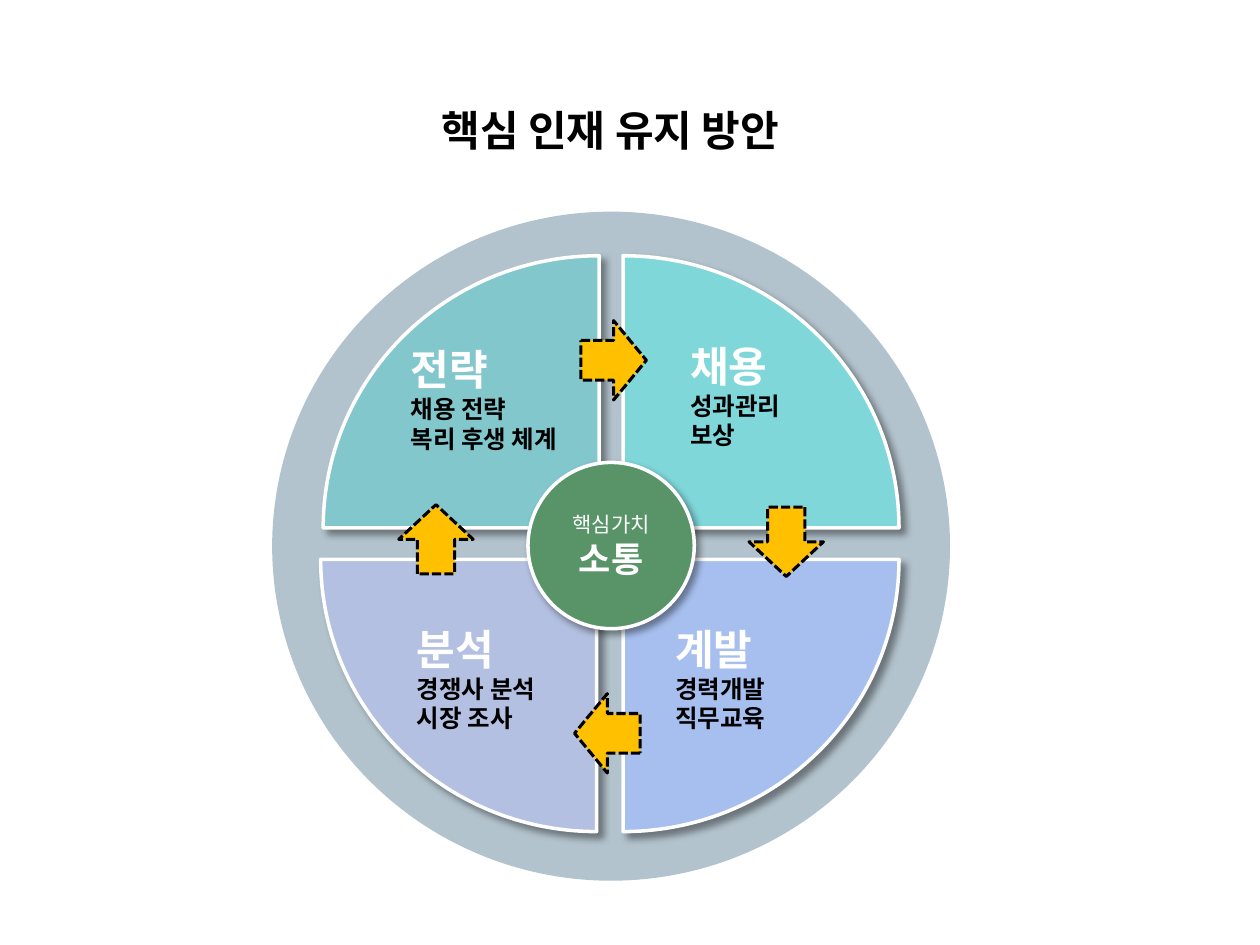
from lxml.etree import SubElement
from pptx import Presentation
from pptx.dml.color import RGBColor
from pptx.enum.dml import MSO_LINE
from pptx.enum.shapes import MSO_SHAPE as Preset
from pptx.enum.text import MSO_ANCHOR as Anchor, MSO_AUTO_SIZE as AutoSize, PP_ALIGN as Align
from pptx.oxml.ns import qn
from pptx.util import Inches, Pt

WHITE = RGBColor(0xFF, 0xFF, 0xFF)
BLACK = RGBColor(0x00, 0x00, 0x00)
RING_GREY = RGBColor(0xB3, 0xC3, 0xCD)
TEAL = RGBColor(0x82, 0xC7, 0xCC)
AQUA = RGBColor(0x80, 0xD7, 0xDA)
BLUE = RGBColor(0xA6, 0xBF, 0xEE)
LAVENDER = RGBColor(0xB4, 0xC0, 0xE1)
AMBER = RGBColor(0xFF, 0xC0, 0x00)
GREEN = RGBColor(0x58, 0x94, 0x68)

HEADING = {"size": Pt(24), "bold": True, "color": WHITE}
DETAIL = {"size": Pt(14), "bold": True, "color": BLACK}
TITLE = {"size": Pt(24), "bold": True, "color": BLACK}
CORE_CAPTION = {"size": Pt(12), "bold": False, "color": WHITE}
CORE_WORD = {"size": Pt(20), "bold": True, "color": WHITE}

WHITE_EDGE = {"color": WHITE, "width": Pt(2)}
DASHED_EDGE = {"color": BLACK, "width": Pt(1.75), "dash_style": MSO_LINE.SQUARE_DOT}

# centre, rotation, fill, label frame, heading, details
QUADRANTS = [
    ((6.04, 3.11), 90, AQUA, (5.38, 2.65, 1.33, 0.98), "채용", ["성과관리", "보상"]),
    ((6.04, 5.52), 180, BLUE, (5.26, 4.9, 1.88, 1.38), "계발", ["경력개발", "직무교육"]),
    ((3.64, 5.52), 270, LAVENDER, (3.21, 4.9, 1.88, 0.98), "분석", ["경쟁사 분석", "시장 조사"]),
    ((3.66, 3.11), 0, TEAL, (3.16, 2.68, 1.88, 1.38), "전략", ["채용 전략", "복리 후생 체계"]),
]
# centre, rotation, length, breadth
ARROWS = [
    ((3.46, 4.28), 270, 0.55, 0.59),
    ((4.82, 5.82), 180, 0.52, 0.63),
    ((6.24, 4.3), 90, 0.55, 0.59),
    ((4.87, 2.86), 0, 0.52, 0.63),
]


def apply_format(target, values):
    for name, value in values.items():
        if name == "color":
            target.color.rgb = value
        else:
            setattr(target, name, value)


class WheelSlide:
    font_name = "Noto Sans CJK KR"
    wedge_width, wedge_height = 2.19, 2.16

    def __init__(self, deck):
        self.shapes = deck.slides.add_slide(deck.slide_layouts[6]).shapes

    def shape(self, preset, frame, fill, edge=None, rotation=0):
        shape = self.shapes.add_shape(preset, *map(Inches, frame))
        shape.rotation = rotation
        shape.shadow.inherit = False
        shape.fill.solid()
        shape.fill.fore_color.rgb = fill
        if edge:
            apply_format(shape.line, edge)
        else:
            shape.line.fill.background()
        return shape

    def cast_shadow(self, shape, distance):
        """Add a 40% black shadow towards the lower right."""
        effects = shape._element.spPr.find(qn("a:effectLst"))
        outer = SubElement(effects, qn("a:outerShdw"), blurRad=str(Pt(4)), dist=str(Pt(distance)),
                           dir="2700000", algn="tl", rotWithShape="0")
        tint = SubElement(outer, qn("a:srgbClr"), val="000000")
        SubElement(tint, qn("a:alpha"), val="40000")

    def set_lines(self, frame, lines, align=Align.LEFT):
        """Fill a text frame with (text, format) lines, one paragraph each."""
        frame.word_wrap = True
        for index, (text, style) in enumerate(lines):
            paragraph = frame.add_paragraph() if index else frame.paragraphs[0]
            paragraph.alignment = align
            run = paragraph.add_run()
            run.text = text
            apply_format(run.font, {**style, "name": self.font_name})
            SubElement(run._r.get_or_add_rPr(), qn("a:ea"), typeface=self.font_name)

    def label(self, frame, lines, align=Align.LEFT):
        box = self.shapes.add_textbox(*map(Inches, frame))
        self.set_lines(box.text_frame, lines, align)
        box.text_frame.auto_size = AutoSize.SHAPE_TO_FIT_TEXT

    def quadrant(self, centre, rotation, fill, label_frame, heading, details):
        width, height = self.wedge_width, self.wedge_height
        if rotation % 180:
            width, height = height, width
        frame = (centre[0] - width / 2, centre[1] - height / 2, width, height)
        wedge = self.shape(Preset.PIE_WEDGE, frame, fill, WHITE_EDGE, rotation)
        self.cast_shadow(wedge, 4)
        self.label(label_frame, [(heading, HEADING)] + [(text, DETAIL) for text in details])

    def arrow(self, centre, rotation, length, breadth):
        frame = (centre[0] - length / 2, centre[1] - breadth / 2, length, breadth)
        self.shape(Preset.RIGHT_ARROW, frame, AMBER, DASHED_EDGE, rotation)

    def core(self, frame, lines):
        core = self.shape(Preset.OVAL, frame, GREEN, WHITE_EDGE)
        self.cast_shadow(core, 3)
        core.text_frame.vertical_anchor = Anchor.MIDDLE
        self.set_lines(core.text_frame, lines, Align.CENTER)


def main():
    deck = Presentation()
    deck.slide_width, deck.slide_height = Inches(10), Inches(7.5)
    wheel = WheelSlide(deck)
    wheel.shape(Preset.OVAL, (2.16, 1.68, 5.38, 5.31), RING_GREY)
    for quadrant in QUADRANTS:
        wheel.quadrant(*quadrant)
    for arrow in ARROWS:
        wheel.arrow(*arrow)
    wheel.core((4.19, 3.67, 1.32, 1.32), [("핵심가치", CORE_CAPTION), ("소통", CORE_WORD)])
    wheel.label((2.11, 0.78, 5.47, 0.5), [("핵심 인재 유지 방안", TITLE)], Align.CENTER)
    deck.save("out.pptx")


if __name__ == "__main__":
    main()
